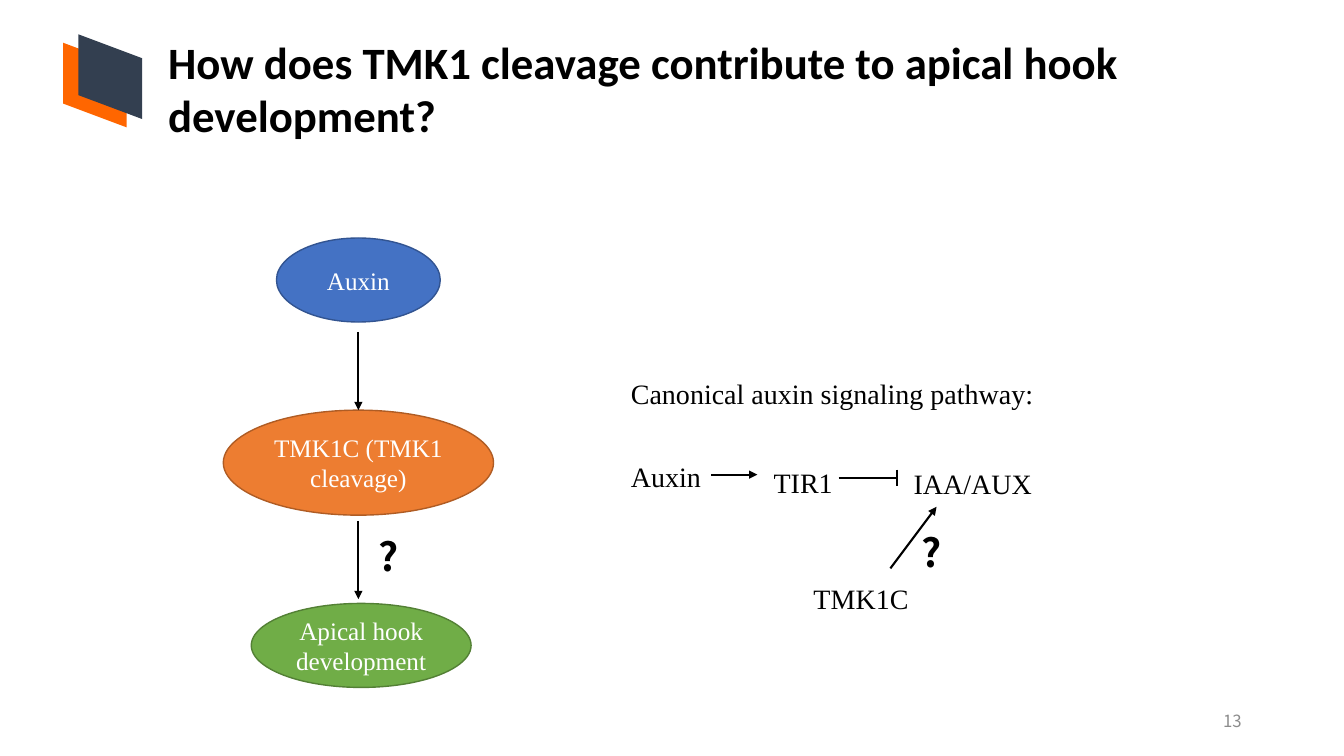
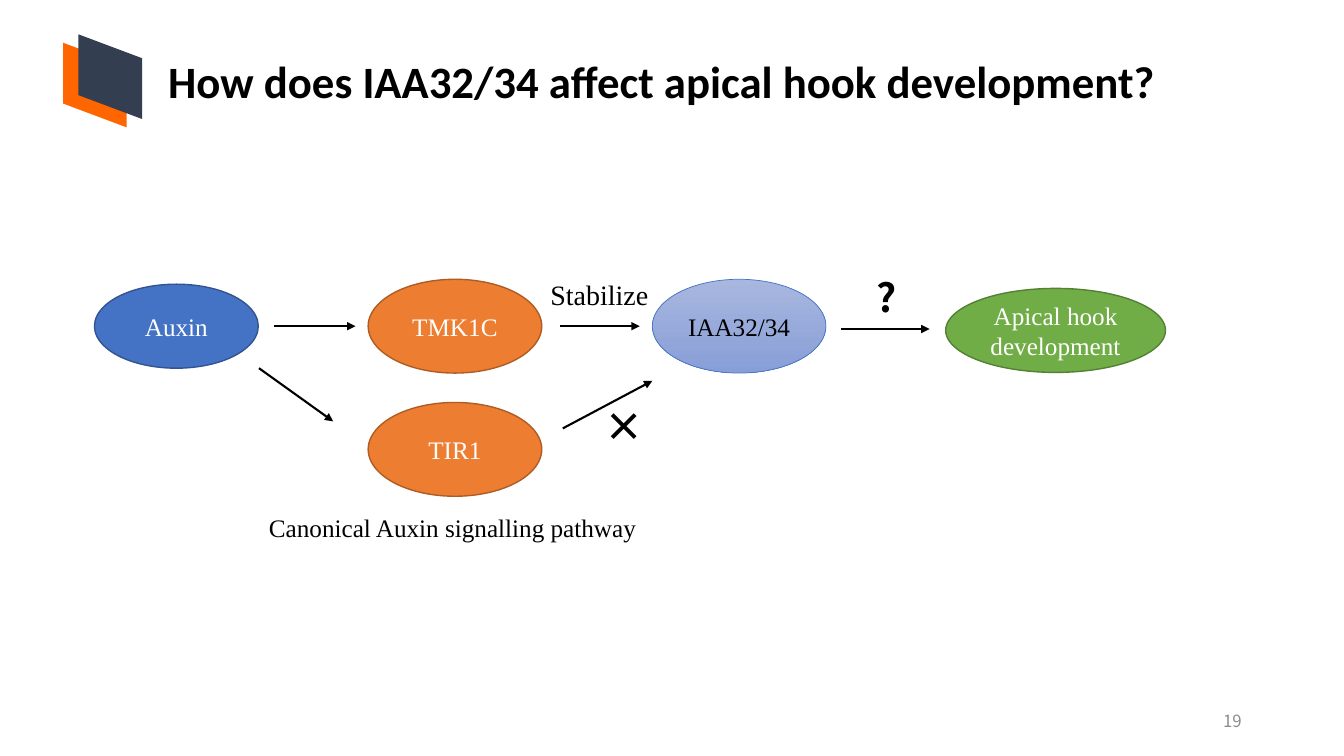
from pptx import Presentation
from pptx import util as u
from pptx.dml import color
from pptx.enum import shapes, text
from pptx.oxml import ns
from lxml import etree

Pt = u.Pt
HEAD, BODY, SANS = "Calibri", "Times New Roman", "Noto Sans CJK SC"
BLACK, WHITE, GREY = "000000", "FFFFFF", "8C8C8C"

# Node style: fill (two colours make a gradient), line, line width, text colour
STYLES = {
    "signal": (["4472C4"], "325491", 1, WHITE),
    "sensor": (["ED7D31"], "AF5C24", 1, WHITE),
    "result": (["70AD47"], "538035", 1, WHITE),
    "target": (["A8B7DF", "889ED7"], "4472C4", 0.5, BLACK),
}
# Text style: font, size, bold, line spacing, box height
NOTES = {
    "label": (BODY, 20, False, 1.5, 40),
    "caption": (BODY, 18, False, 1.5, 36),
    "mark": (SANS, 28, True, 1, 41),
}
LOGO = [(37.5, 38, "FF6600"), (48.5, 32, "333F50")]

# nodes: text, style, centre x, centre y, width, height
# notes: text, style, left, top, width
# arrows and bars: x1, y1, x2, y2
SLIDES = [
    dict(
        title="How does TMK1 cleavage contribute to apical hook development?",
        top=21, page=13,
        nodes=[
            ("Auxin", "signal", 256, 200, 117, 60),
            ("TMK1C (TMK1 cleavage)", "sensor", 256, 330.5, 193, 75),
            ("Apical hook development", "result", 258, 461, 157, 60),
        ],
        notes=[
            ("?", "mark", 263, 376.5, 30),
            ("Canonical auxin signaling pathway:", "label", 443.5, 253.5, 320),
            ("Auxin", "label", 443.5, 312.5, 75),
            ("TIR1", "label", 545.5, 317, 70),
            ("IAA/AUX", "label", 645.5, 317.5, 110),
            ("TMK1C", "label", 574, 399.5, 95),
            ("?", "mark", 651.5, 373.5, 30),
        ],
        arrows=[
            (256, 237, 256, 293), (256, 372, 256, 428),
            (508, 339, 541, 339), (636, 406, 669, 362),
        ],
        bars=[(599, 341.5, 641, 341.5), (641, 335.5, 641, 347.5)],
    ),
    dict(
        title="How does IAA32/34 affect apical hook development?",
        top=34.5, page=19,
        nodes=[
            ("Auxin", "signal", 126, 233, 117, 60),
            ("TMK1C", "sensor", 325, 233, 124, 67),
            ("TIR1", "sensor", 325, 321, 124, 67),
            ("IAA32/34", "target", 528, 233, 124, 67),
            ("Apical hook development", "result", 754, 236, 157, 60),
        ],
        notes=[
            ("Stabilize", "label", 386, 183, 94),
            ("?", "mark", 619, 191.5, 30),
            ("×", "mark", 425, 283.5, 36),
            ("Canonical Auxin signalling pathway", "caption", 185, 351.5, 328),
        ],
        arrows=[
            (196, 233, 254, 233), (400, 233, 457, 233),
            (601, 235, 664, 235), (185, 263, 238, 301),
            (402, 306, 466, 272),
        ],
        bars=[],
    ),
]


def rgb(code):
    return color.RGBColor.from_string(code)


def write(shape, words, face, size, hue, bold=False, space=1, align=text.PP_ALIGN.LEFT):
    frame = shape.text_frame
    frame.word_wrap = True
    frame.text = words
    par = frame.paragraphs[0]
    par.alignment, par.line_spacing = align, space
    run = par.runs[0]
    font = run.font
    font.name, font.size, font.bold = face, Pt(size), bold
    font.color.rgb = rgb(hue)
    east = etree.SubElement(run._r.get_or_add_rPr(), ns.qn("a:ea"))
    east.set("typeface", face)


def box(slide, left, top, wide, high, *args, **opts):
    shape = slide.shapes.add_textbox(Pt(left), Pt(top), Pt(wide), Pt(high))
    write(shape, *args, **opts)
    return shape


def logo(slide):
    for left, top, hue in LOGO:
        part = slide.shapes.add_shape(
            shapes.MSO_SHAPE.PARALLELOGRAM, Pt(left), Pt(top), Pt(60.5), Pt(45.5))
        part.adjustments[0] = 0.375
        part.rotation = 270
        part.shadow.inherit = False
        part.fill.solid()
        part.fill.fore_color.rgb = rgb(hue)
        part.line.fill.background()


def node(slide, words, style, mid_x, mid_y, wide, high):
    fills, edge, width, hue = STYLES[style]
    oval = slide.shapes.add_shape(
        shapes.MSO_SHAPE.OVAL, Pt(mid_x - wide / 2), Pt(mid_y - high / 2), Pt(wide), Pt(high))
    oval.shadow.inherit = False
    if len(fills) == 1:
        oval.fill.solid()
        oval.fill.fore_color.rgb = rgb(fills[0])
    else:
        oval.fill.gradient()
        oval.fill.gradient_angle = 270
        for stop, tone, place in zip(oval.fill.gradient_stops, fills, (0, 1)):
            stop.color.rgb, stop.position = rgb(tone), place
    oval.line.color.rgb, oval.line.width = rgb(edge), Pt(width)
    write(oval, words, BODY, 18, hue, align=text.PP_ALIGN.CENTER)


def line(slide, ends, arrow):
    link = slide.shapes.add_connector(
        shapes.MSO_CONNECTOR.STRAIGHT, *[Pt(end) for end in ends])
    link.line.color.rgb, link.line.width = rgb(BLACK), Pt(1.5)
    if arrow:
        tip = etree.SubElement(link.line._get_or_add_ln(), ns.qn("a:tailEnd"))
        tip.set("type", "triangle")
    etree.SubElement(link._element.spPr, ns.qn("a:effectLst"))


def build(deck, data):
    slide = deck.slides.add_slide(deck.slide_layouts[6])
    logo(slide)
    box(slide, 113, data["top"], 814, 46, data["title"], HEAD, 32, BLACK, bold=True)
    for item in data["nodes"]:
        node(slide, *item)
    for ends in data["arrows"]:
        line(slide, ends, True)
    for ends in data["bars"]:
        line(slide, ends, False)
    for words, style, left, top, wide in data["notes"]:
        face, size, bold, space, high = NOTES[style]
        box(slide, left, top, wide, high, words, face, size, BLACK, bold=bold, space=space)
    page = box(slide, 678, 500.5, 216, 29, str(data["page"]), SANS, 12, GREY,
               align=text.PP_ALIGN.RIGHT)
    page.text_frame.vertical_anchor = text.MSO_ANCHOR.MIDDLE


def main():
    deck = Presentation()
    deck.slide_width, deck.slide_height = Pt(960), Pt(540)
    for data in SLIDES:
        build(deck, data)
    deck.save("out.pptx")


if __name__ == "__main__":
    main()
